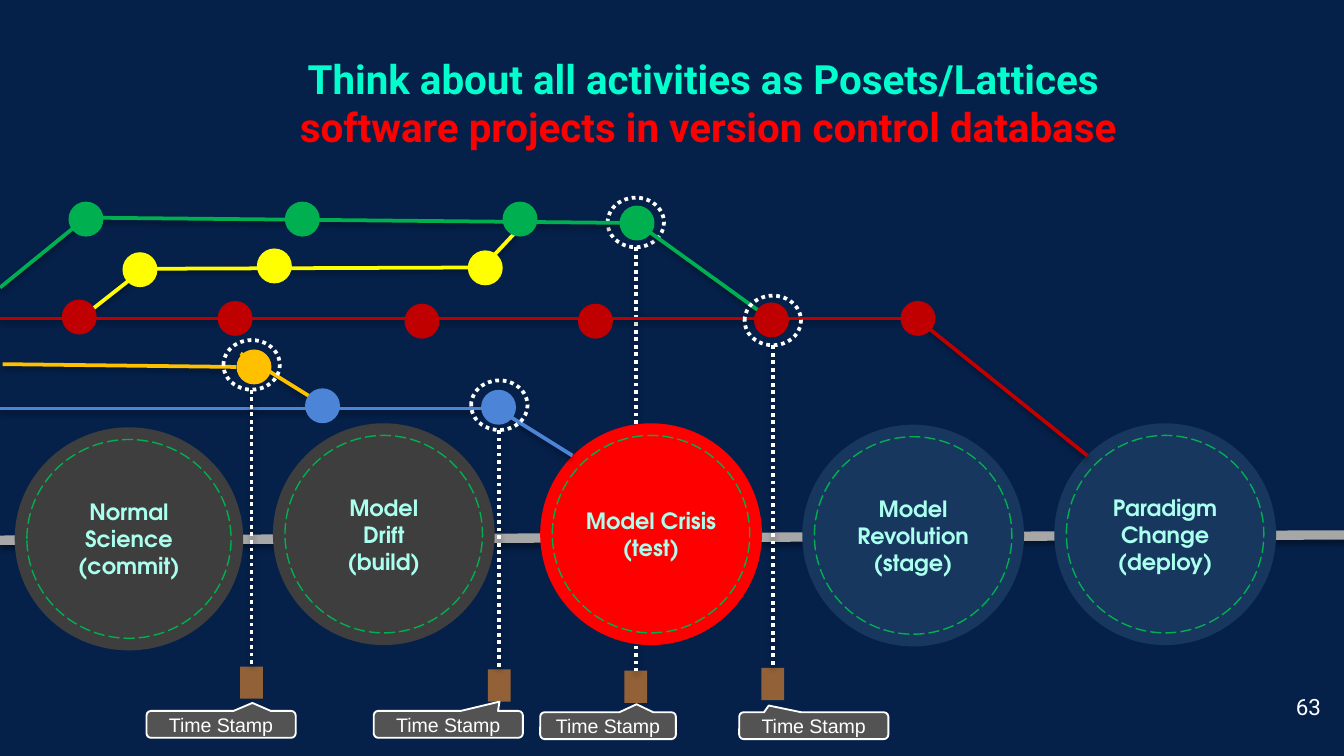
from dataclasses import dataclass
from itertools import pairwise

from lxml.etree import fromstring
from pptx import Presentation
from pptx.dml.color import RGBColor
from pptx.enum.dml import MSO_LINE
from pptx.enum.shapes import MSO_CONNECTOR, MSO_SHAPE
from pptx.enum.text import MSO_ANCHOR, PP_ALIGN
from pptx.util import Pt


@dataclass(frozen=True)
class Theme:
    back: str = "05214A"
    white: str = "FFFFFF"
    mint: str = "00FFCD"
    pale: str = "AAFFEE"
    red: str = "FF0000"
    gray: str = "3E3E3E"
    navy: str = "17375E"
    green: str = "00B050"
    yellow: str = "FFFF00"
    crimson: str = "C00000"
    amber: str = "FFC000"
    blue: str = "4C84D8"
    axis: str = "A7A7A7"
    brown: str = "926137"
    label: str = "535353"
    sans: str = "Roboto"
    round: str = "TeX Gyre Adventor"
    plain: str = "Arial"
    head: float = 21.6
    body: float = 12
    small: float = 10.5


T = Theme()

# Content: all lengths in points
TITLE = [("Think about all activities as Posets/Lattices", T.mint),
         (" software projects in version control database", T.red)]
PAGE = "63"
AXIS = (0, 289.4), (720, 286.6)

# Stages: text, fill, centre x, centre y, width, height
STAGES = [
    ("Normal Science\n(commit)", T.gray, 69.1, 288.7, 122.4, 119.5),
    ("Model\nDrift\n(build)", T.gray, 205.6, 286.2, 118.8, 118.8),
    ("Model Crisis\n(test)", T.red, 348.8, 286.2, 118.8, 118.8),
    ("Model Revolution\n(stage)", T.navy, 489.2, 286.9, 118.8, 118.8),
    ("Paradigm Change\n(deploy)", T.navy, 624.2, 286.2, 118.8, 118.8),
]

# Branches: colour, paths, commit centres
BRANCHES = [
    (T.yellow,
     [[(43.2, 170.6), (77, 144), (258.5, 143.3), (280.8, 119.5)]],
     [(75, 144.5), (147, 142.5), (260, 143.5)]),
    (T.green,
     [[(0, 154.1), (46.1, 116.6), (341.3, 119.5), (413.3, 171.4)]],
     [(46.1, 117.4), (162, 117.4), (278.6, 117.4), (341.3, 119.5)]),
    (T.crimson,
     [[(0, 170.6), (491, 170.6), (582.5, 244.1)]],
     [(413.3, 171.4), (42.5, 169.9), (126, 170.6), (226.1, 172.1),
      (319, 172.1), (491.8, 170.6)]),
    (T.amber,
     [[(1.4, 195.1), (126.7, 196.6)], [(128.9, 189.4), (176.4, 218.9)]],
     [(136.1, 196.6)]),
    (T.blue,
     [[(0, 218.9), (266.4, 218.9), (306.7, 244.1)]],
     [(267.1, 218.2), (172.8, 217.4)]),
]

# Markers: x, ring centre y, block top
CRISIS = (340.6, 119.2, 359.3)
MARKS = [(267.5, 217.1, 358.6), (414, 171.7, 357.8), (134.8, 195.5, 357.1)]

# Callouts: left, top, width, tip offsets
STAMP = "Time Stamp"
STAMPS = [(200.2, 380.9, 79.9, 0.343, -0.845),
          (289.4, 381.6, 72.7, 0.21, -0.798),
          (78.5, 380.9, 79.9, 0.21, -0.798),
          (396, 381.6, 79.9, -0.302, -0.751)]

DOT, RING, BLOCK = (18.7, 18.7), (30.2, 26.6), (12.2, 17.3)
STROKE, GAP = 2, 13
SHADOW = (
    '<a:effectLst xmlns:a="http://schemas.openxmlformats.org/drawingml/2006/main">'
    '<a:outerShdw blurRad="38100" dist="20320" dir="5400000" rotWithShape="0">'
    '<a:srgbClr val="000000"><a:alpha val="38000"/></a:srgbClr>'
    '</a:outerShdw></a:effectLst>')

deck = Presentation()
deck.slide_width, deck.slide_height = Pt(720), Pt(405)
slide = deck.slides.add_slide(deck.slide_layouts[6])
slide.background.fill.solid()
slide.background.fill.fore_color.rgb = RGBColor.from_string(T.back)


def stroke(line, color, width, dash=None):
    line.color.rgb = RGBColor.from_string(color)
    line.width = Pt(width)
    if dash:
        line.dash_style = dash


def link(start, end, color, width=STROKE, dash=None):
    item = slide.shapes.add_connector(
        MSO_CONNECTOR.STRAIGHT, *map(Pt, (*start, *end)))
    stroke(item.line, color, width, dash)
    item._element.spPr.append(fromstring(SHADOW))


def shape(kind, left, top, size, fill=None, edge=None):
    item = slide.shapes.add_shape(kind, *map(Pt, (left, top, *size)))
    item.shadow.inherit = False
    if fill:
        item.fill.solid()
        item.fill.fore_color.rgb = RGBColor.from_string(fill)
    else:
        item.fill.background()
    if edge:
        stroke(item.line, *edge)
    else:
        item.line.fill.background()
    return item


def oval(x, y, size, fill=None, edge=None):
    return shape(MSO_SHAPE.OVAL, x - size[0] / 2, y - size[1] / 2,
                 size, fill, edge)


def style(font, name, size, color, bold=False):
    font.name, font.size, font.bold = name, Pt(size), bold
    font.color.rgb = RGBColor.from_string(color)


def write(item, text, name, size, color, bold=False, inset=0,
          align=PP_ALIGN.CENTER, anchor=MSO_ANCHOR.MIDDLE, wrap=True):
    frame = item.text_frame
    frame.text = text
    frame.word_wrap, frame.vertical_anchor = wrap, anchor
    frame.margin_left = frame.margin_right = Pt(inset)
    frame.margin_top = frame.margin_bottom = Pt(inset)
    for para in frame.paragraphs:
        para.alignment = align
        for run in para.runs:
            style(run.font, name, size, color, bold)
    return frame


def mark(x, y, top):
    shape(MSO_SHAPE.RECTANGLE, x - BLOCK[0] / 2, top, BLOCK, T.brown)
    link((x, y + RING[1] / 2), (x, top), T.white, dash=MSO_LINE.ROUND_DOT)
    oval(x, y, RING, edge=(T.white, STROKE, MSO_LINE.ROUND_DOT))


# The crisis marker runs behind its stage
mark(*CRISIS)
link(*AXIS, T.axis, 5)

# Title
box = slide.shapes.add_textbox(Pt(145.4), Pt(21.6), Pt(463), Pt(74.2))
frame = write(box, "\v".join(text for text, _ in TITLE), T.sans, T.head,
              T.mint, True, 7.2, anchor=MSO_ANCHOR.TOP)
for run, (_, color) in zip(frame.paragraphs[0].runs, TITLE):
    run.font.color.rgb = RGBColor.from_string(color)

# Stages
for text, fill, x, y, wide, high in STAGES:
    write(oval(x, y, (wide, high), fill), text, T.round, T.body, T.pale, True)
    oval(x, y, (wide - GAP, high - GAP),
         edge=(T.green, 0.75, MSO_LINE.LONG_DASH))

# Branches
for color, paths, dots in BRANCHES:
    for path in paths:
        for start, end in pairwise(path):
            link(start, end, color)
    for x, y in dots:
        oval(x, y, DOT, color)

# Markers and time stamps
for spot in MARKS:
    mark(*spot)
for left, top, wide, *tip in STAMPS:
    note = shape(MSO_SHAPE.ROUNDED_RECTANGULAR_CALLOUT, left, top,
                 (wide, 14.4), T.label, (T.white, 1))
    for i, value in enumerate((*tip, 0.167)):
        note.adjustments[i] = value
    write(note, STAMP, T.plain, T.small, T.white)

# Page number
box = slide.shapes.add_textbox(Pt(689), Pt(367.9), Pt(22.3), Pt(21.6))
write(box, PAGE, T.sans, T.body, T.white, inset=3.6,
      align=PP_ALIGN.RIGHT, wrap=False)

deck.save("out.pptx")
